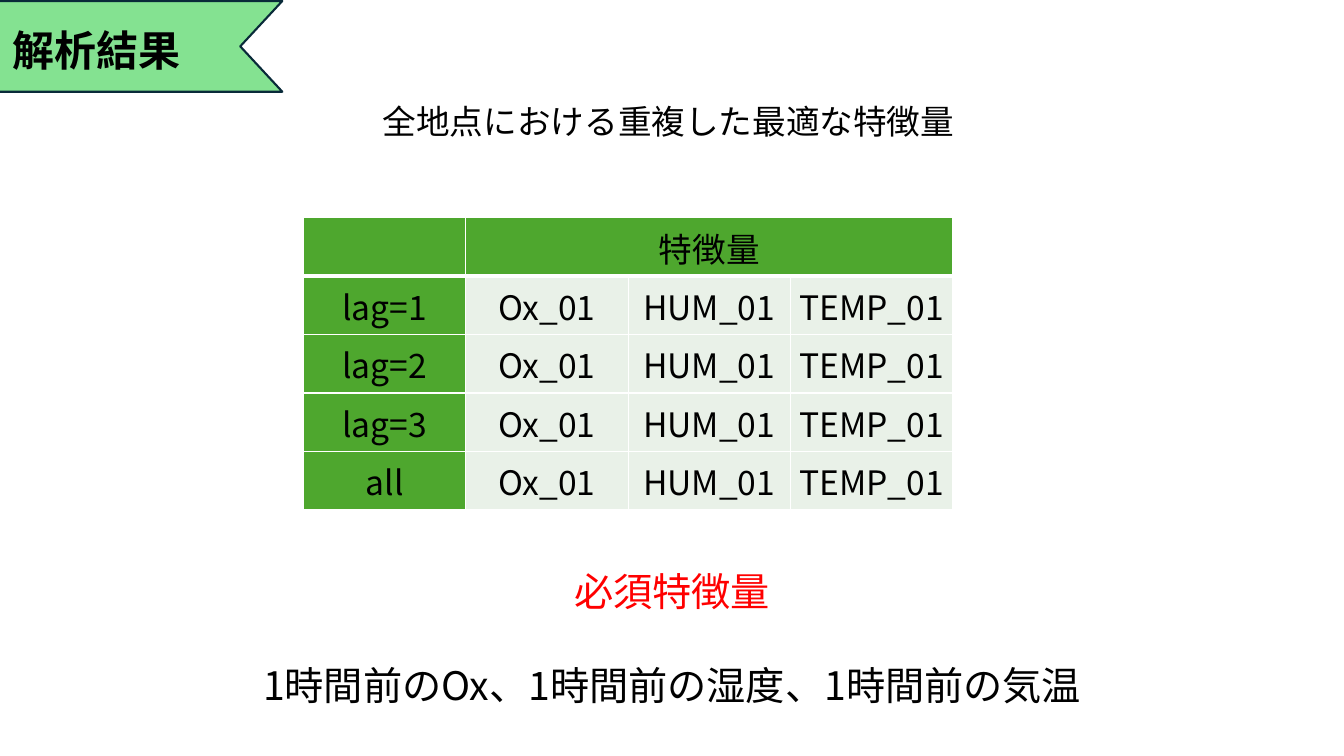
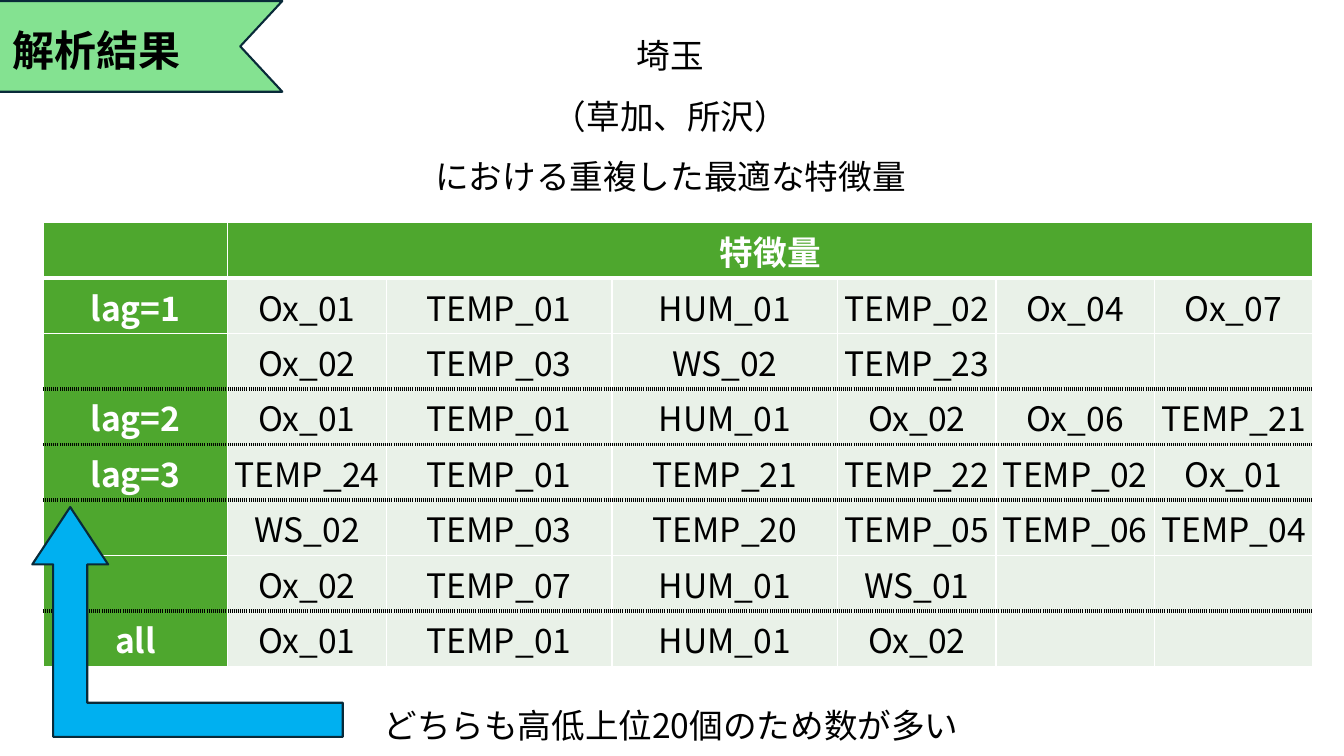
from lxml.etree import SubElement as Sub
from pptx import Presentation
from pptx.dml.color import RGBColor as RGB
from pptx.enum.shapes import MSO_SHAPE as Shape
from pptx.enum.text import MSO_ANCHOR as Anchor, MSO_AUTO_SIZE as Auto, PP_ALIGN as Align
from pptx.oxml.ns import qn
from pptx.util import Inches, Pt

BLACK = RGB(0, 0, 0)
WHITE = RGB(255, 255, 255)
RED = RGB(255, 0, 0)
MINT = RGB(0x84, 0xE2, 0x91)
GREEN = RGB(0x4E, 0xA7, 0x2E)
PALE = RGB(0xE9, 0xF1, 0xE8)
BLUE = RGB(0, 0xB0, 0xF0)
NAVY = RGB(0x09, 0x2A, 0x39)

THIN = (WHITE, 1, "solid")
THICK = (WHITE, 3, "solid")
DOTS = (BLACK, 3, "sysDot")


class Deck:
    font = "Noto Sans CJK JP"

    def __init__(self):
        self.file = Presentation()
        self.file.slide_width = Inches(13.33)
        self.file.slide_height = Inches(7.5)
        self.slide = None

    def page(self, title):
        self.slide = self.file.slides.add_slide(self.file.slide_layouts[6])
        band = self.shape(Shape.CHEVRON, (-0.54, 0.01, 3.34, 0.9), MINT, [0.464])
        band.rotation = 180
        self.text((0.03, 0.19, 2.48, 0.61), [title], 30, bold=True, align=Align.LEFT)

    def style(self, para, size, color, bold, align):
        para.alignment = align
        for run in para.runs:
            run.font.name = self.font
            run.font.size = Pt(size)
            run.font.bold = bold
            run.font.color.rgb = color
            Sub(run.font._element, qn("a:ea"), typeface=self.font)

    def text(self, box, lines, size=24, color=BLACK, bold=False, align=Align.CENTER, space=1):
        item = self.slide.shapes.add_textbox(*map(Inches, box))
        frame = item.text_frame
        frame.text = "\n".join(lines)
        frame.word_wrap = True
        frame.auto_size = Auto.SHAPE_TO_FIT_TEXT
        for para in frame.paragraphs:
            para.line_spacing = space
            self.style(para, size, color, bold, align)
        return item

    def shape(self, kind, box, fill, bends):
        item = self.slide.shapes.add_shape(kind, *map(Inches, box))
        item.shadow.inherit = False
        item.fill.solid()
        item.fill.fore_color.rgb = fill
        item.line.color.rgb = NAVY
        item.line.width = Pt(1.5)
        for i, bend in enumerate(bends):
            item.adjustments[i] = bend
        return item

    def edge(self, cell, side, look):
        color, width, dash = look
        line = Sub(cell._tc.get_or_add_tcPr(), qn("a:ln" + side), w=str(Pt(width)))
        Sub(Sub(line, qn("a:solidFill")), qn("a:srgbClr"), val=str(color))
        Sub(line, qn("a:prstDash"), val=dash)

    def table(self, left, top, cols, tall, rows, head=BLACK, bold=False, dots=()):
        box = map(Inches, (left, top, sum(cols), tall * len(rows)))
        grid = self.slide.shapes.add_table(len(rows), len(cols), *box).table
        for col, width in zip(grid.columns, cols):
            col.width = Inches(width)
        rules = {0: THICK, **{r: DOTS for r in dots}}
        for r, row in enumerate(rows):
            grid.rows[r].height = Inches(tall)
            for c in range(len(cols)):
                cell = grid.cell(r, c)
                sides = {"L": THIN, "R": THIN,
                         "T": rules.get(r - 1, THIN), "B": rules.get(r, THIN)}
                for side, look in sides.items():
                    self.edge(cell, side, look)
                main = r == 0 or c == 0
                cell.fill.solid()
                cell.fill.fore_color.rgb = GREEN if main else PALE
                cell.vertical_anchor = Anchor.MIDDLE
                cell.margin_left = cell.margin_right = cell.margin_top = Inches(0.01)
                cell.margin_bottom = 0
                if c < len(row) and row[c]:
                    para = cell.text_frame.paragraphs[0]
                    para.text = row[c]
                    self.style(para, 24, head if main else BLACK, main and bold, Align.CENTER)
        grid.cell(0, 1).merge(grid.cell(0, len(cols) - 1))


def main():
    deck = Deck()
    title = "解析結果"
    top = ["", "特徴量"]

    deck.page(title)
    lags = ["lag=1", "lag=2", "lag=3", "all"]
    rows = [top] + [[lag, "Ox_01", "HUM_01", "TEMP_01"] for lag in lags]
    deck.table(3.01, 2.16, [1.61] * 4, 0.58, rows)
    deck.text((2.8, 0.75, 7.66, 0.66), ["全地点における重複した最適な特徴量"], space=1.5)
    needs = deck.text((2.42, 6.51, 8.49, 0.57),
                      ["1時間前のOx、1時間前の湿度、1時間前の気温"], 28)
    label = deck.text((5.47, 5.58, 2.39, 0.57), ["必須特徴量"], 28, RED)
    deck.slide.shapes.add_group_shape([needs, label])

    deck.page(title)
    rows = [
        top,
        ["lag=1", "Ox_01", "TEMP_01", "HUM_01", "TEMP_02", "Ox_04", "Ox_07"],
        ["", "Ox_02", "TEMP_03", "WS_02", "TEMP_23"],
        ["lag=2", "Ox_01", "TEMP_01", "HUM_01", "Ox_02", "Ox_06", "TEMP_21"],
        ["lag=3", "TEMP_24", "TEMP_01", "TEMP_21", "TEMP_22", "TEMP_02", "Ox_01"],
        ["", "WS_02", "TEMP_03", "TEMP_20", "TEMP_05", "TEMP_06", "TEMP_04"],
        ["", "Ox_02", "TEMP_07", "HUM_01", "WS_01"],
        ["all", "Ox_01", "TEMP_01", "HUM_01", "Ox_02"],
    ]
    cols = [1.83, 1.57, 2.24, 2.24] + [1.57] * 3
    deck.table(0.43, 2.21, cols, 0.55, rows, WHITE, True, (2, 3, 4, 6))
    deck.text((2.8, 0.1, 7.7, 1.87),
              ["埼玉", "（草加、所沢）", "における重複した最適な特徴量"], space=1.5)
    deck.text((3.52, 6.74, 6.27, 0.66), ["どちらも高低上位20個のため数が多い"], space=1.5)
    arrow = deck.shape(Shape.BENT_UP_ARROW, (0.32, 5.03, 3.08, 2.28), BLUE,
                       [0.148, 0.165, 0.25])
    arrow.element.spPr.find(qn("a:xfrm")).set("flipH", "1")

    deck.file.save("out.pptx")


if __name__ == "__main__":
    main()
